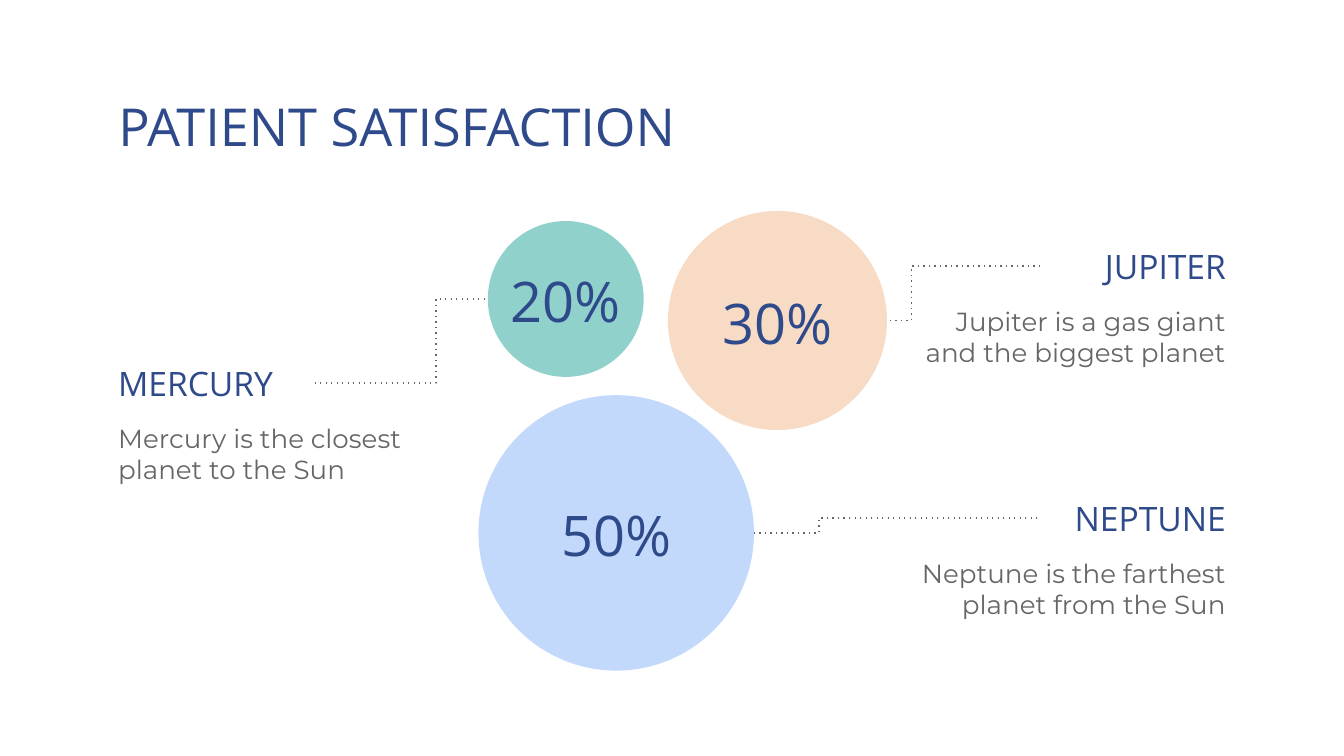
from dataclasses import dataclass

from lxml.etree import SubElement
from pptx import Presentation
from pptx.dml.color import RGBColor
from pptx.enum.shapes import MSO_CONNECTOR as CONN, MSO_SHAPE as SHAPE
from pptx.enum.text import MSO_ANCHOR as ANCHOR, MSO_AUTO_SIZE as AUTO, PP_ALIGN as ALIGN
from pptx.oxml.ns import qn
from pptx.util import Inches, Pt

COLS, ROWS = 100, 56.25
CELL = Inches(0.1)
MARGIN = 7.8
TEXT_W, HEAD_H, DESC_H = 24.9, 5.1, 6.4
LABEL_W, LABEL_H = 18.1, 6.2
NAVY, GRAY = "2F4A8A", "666666"


@dataclass
class Planet:
    name: str
    desc: str
    share: str
    fill: str
    cx: float
    cy: float
    size: float
    head_y: float
    line_x: float
    bend: float
    on_right: bool = True


PLANETS = [
    Planet("MERCURY", "Mercury is the closest planet to the Sun", "20%", "90D1CB",
           42.1, 22.25, 11.6, 26, 23.4, 0.7, False),
    Planet("JUPITER", "Jupiter is a gas giant and the biggest planet", "30%", "F8DBC4",
           57.85, 23.85, 16.3, 17.3, 77.4, 0.84),
    Planet("NEPTUNE", "Neptune is the farthest planet from the Sun", "50%", "C3D9FB",
           45.85, 39.65, 20.5, 36.05, 77.2, 0.77),
]


def grid(*cells: float) -> list[int]:
    return [round(c * CELL) for c in cells]


def rgb(color: str) -> RGBColor:
    return RGBColor.from_string(color)


def write(sp, text: str, *, size: float, font: str = "Open Sans", color: str = NAVY,
          align=ALIGN.LEFT, anchor=ANCHOR.TOP) -> None:
    tf = sp.text_frame
    tf.word_wrap, tf.auto_size, tf.vertical_anchor = True, AUTO.NONE, anchor
    tf.margin_left = tf.margin_right = tf.margin_top = tf.margin_bottom = CELL
    p = tf.paragraphs[0]
    p.alignment = align
    r = p.add_run()
    r.text = text
    r.font.size, r.font.name, r.font.color.rgb = Pt(size), font, rgb(color)


def add_text(s, x: float, y: float, w: float, h: float, text: str, **fmt) -> None:
    write(s.shapes.add_textbox(*grid(x, y, w, h)), text, **fmt)


def add_circle(s, pl: Planet) -> None:
    d = pl.size
    sp = s.shapes.add_shape(SHAPE.OVAL, *grid(pl.cx - d / 2, pl.cy - d / 2, d, d))
    sp.shadow.inherit = False
    sp.fill.solid()
    sp.fill.fore_color.rgb = rgb(pl.fill)
    sp.line.fill.background()


def add_leader(s, pl: Planet) -> None:
    edge = pl.cx + pl.size / 2 * (1 if pl.on_right else -1)
    cn = s.shapes.add_connector(CONN.ELBOW, *grid(pl.line_x, pl.head_y + 2.5, edge, pl.cy))
    cn.line.width = Pt(0.75)
    cn.line.color.rgb = rgb(GRAY)
    pr = cn._element.spPr
    SubElement(pr.find(qn("a:ln")), qn("a:prstDash"), val="dot")
    SubElement(pr, qn("a:effectLst"))
    SubElement(pr.find(qn("a:prstGeom")).find(qn("a:avLst")), qn("a:gd"),
               name="adj1", fmla=f"val {round(pl.bend * 100000)}")


def add_caption(s, pl: Planet) -> None:
    x = COLS - MARGIN - TEXT_W if pl.on_right else MARGIN
    align = ALIGN.RIGHT if pl.on_right else ALIGN.LEFT
    add_text(s, x, pl.head_y, TEXT_W, HEAD_H, pl.name, size=18, align=align)
    add_text(s, x, pl.head_y + 4.4, TEXT_W, DESC_H, pl.desc,
             size=14, font="Montserrat", color=GRAY, align=align)


def add_share(s, pl: Planet) -> None:
    add_text(s, pl.cx - LABEL_W / 2, pl.cy - 2.6, LABEL_W, LABEL_H, pl.share,
             size=30, align=ALIGN.CENTER, anchor=ANCHOR.BOTTOM)


prs = Presentation()
prs.slide_width, prs.slide_height = grid(COLS, ROWS)
s = prs.slides.add_slide(prs.slide_layouts[5])
title = s.shapes.title
title.left, title.top, title.width, title.height = grid(MARGIN, 6, COLS - 2 * MARGIN, 5.1)
write(title, "PATIENT SATISFACTION", size=28)
for draw in (add_circle, add_share, add_leader, add_caption):
    for planet in PLANETS:
        draw(s, planet)
prs.save("out.pptx")
